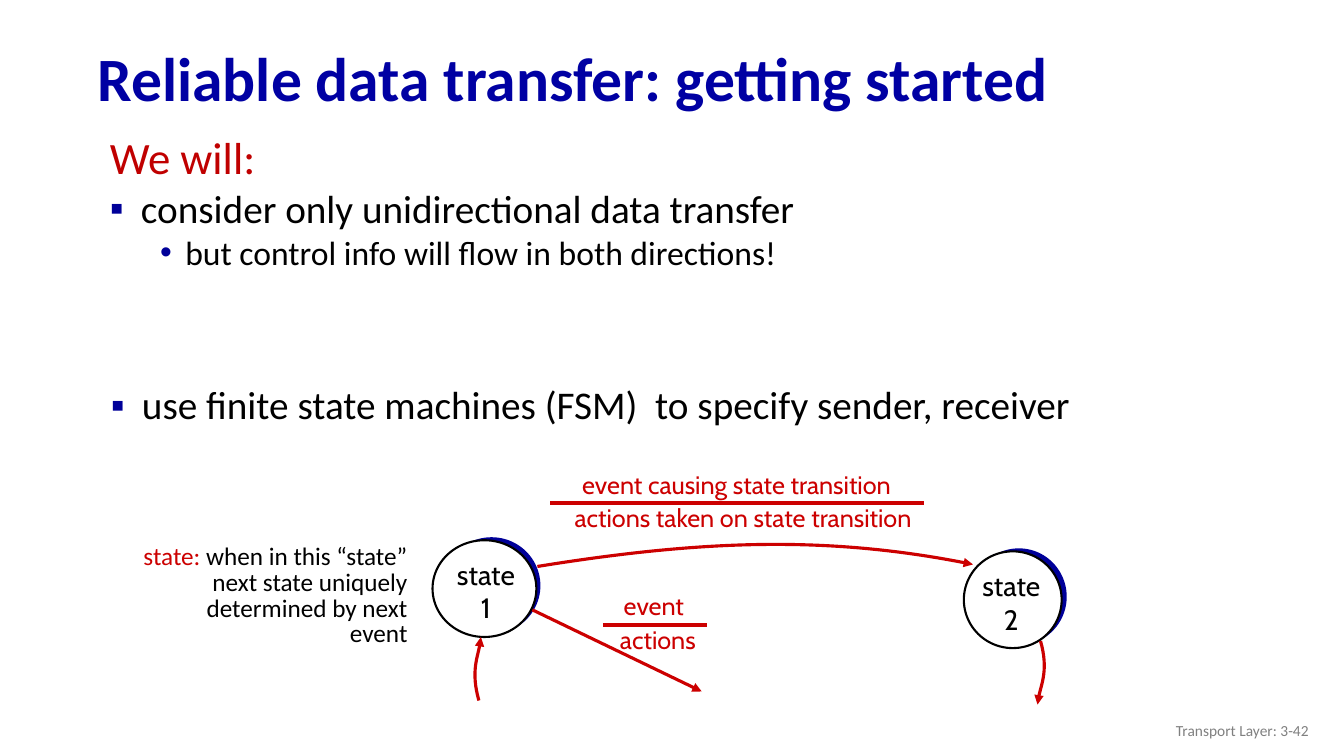
from lxml import etree
from pptx import Presentation
from pptx.dml.color import RGBColor
from pptx.enum.shapes import MSO_CONNECTOR, MSO_SHAPE
from pptx.enum.text import MSO_ANCHOR, PP_ALIGN
from pptx.oxml.ns import qn
from pptx.util import Pt

PX = 9144  # EMU, a hundredth of an inch
LEFT, MID, RIGHT = PP_ALIGN.LEFT, PP_ALIGN.CENTER, PP_ALIGN.RIGHT
TOP, CORE = MSO_ANCHOR.TOP, MSO_ANCHOR.MIDDLE
OVAL, LINE = MSO_SHAPE.OVAL, MSO_CONNECTOR.STRAIGHT
BODY, LABEL = "Calibri", "Cabin"
TIGHT = 0.85
HEX = {
    "title": "0000A3", "lead": "C00000", "navy": "000099", "red": "CC0000",
    "black": "000000", "white": "FFFFFF", "grey": "808080",
}


def color(name):
    return RGBColor.from_string(HEX[name])


def scale(*sizes):
    return [size * PX for size in sizes]


def add_tag(node, tag, **attrs):
    return etree.SubElement(node, qn(tag), **attrs)


def frame(slide, area, anchor=TOP, wrap=True):
    text = slide.shapes.add_textbox(*scale(*area)).text_frame
    for key, value in {"word_wrap": wrap, "vertical_anchor": anchor}.items():
        setattr(text, key, value)
    return text


def write(text, runs, size, font=BODY, bold=False, align=LEFT,
          space=1.0, indent=None, mark=None):
    """Add a paragraph of (words, color) runs; indent is (margin, hang)."""
    first = not text.paragraphs[0].runs
    para = text.paragraphs[0] if first else text.add_paragraph()
    props = para._p.get_or_add_pPr()
    if indent:
        margin, hang = scale(*indent)
        props.set("marL", str(margin))
        props.set("indent", str(-hang))
    if mark:
        tint = add_tag(props, "a:buClr")
        add_tag(tint, "a:srgbClr", val=HEX["navy"])
        add_tag(props, "a:buFont", typeface="Arial")
        add_tag(props, "a:buChar", char=mark)
    gap = Pt(0 if first or space == 1 else size * 0.2)
    layout = {"alignment": align, "line_spacing": space, "space_before": gap}
    for key, value in layout.items():
        setattr(para, key, value)
    for words, tint in runs:
        run = para.add_run()
        run.text = words
        for key, value in {"size": Pt(size), "name": font, "bold": bold}.items():
            setattr(run.font, key, value)
        run.font.color.rgb = color(tint)


def ink(line, tint, width, arrow=False):
    line.color.rgb = color(tint)
    line.width = Pt(width)
    if arrow:
        add_tag(line._get_or_add_ln(), "a:tailEnd", type="triangle")


def oval(slide, area, fill, edge=None):
    shape = slide.shapes.add_shape(OVAL, *scale(*area))
    shape.shadow.inherit = False
    shape.fill.solid()
    shape.fill.fore_color.rgb = color(fill)
    if edge:
        ink(shape.line, edge, 1.5)
    else:
        shape.line.fill.background()


def state(slide, back, face, box, number):
    oval(slide, back, "navy")
    oval(slide, face, "white", "black")
    text = frame(slide, box)
    for words in ("state", number):
        write(text, [(words, "black")], 20, LABEL, align=MID)


def rule(slide, start, end, arrow=False):
    line = slide.shapes.add_connector(LINE, *scale(*start, *end))
    ink(line.line, "red", 2.25, arrow)
    add_tag(line._element.spPr, "a:effectLst")


def curve(slide, start, *points):
    """Draw an arrow along a cubic curve: two control points, then the end."""
    build = slide.shapes.build_freeform(*start, scale=PX)
    build.add_line_segments(points, close=False)
    shape = build.convert_to_shape()
    shape.shadow.inherit = False
    shape.fill.background()
    ink(shape.line, "red", 2.25, True)
    track = shape._element.spPr.find(".//" + qn("a:path"))
    steps = track.findall(qn("a:lnTo"))
    bend = add_tag(track, "a:cubicBezTo")
    for step in steps:
        bend.append(step[0])
        track.remove(step)


def label(slide, area, words):
    write(frame(slide, area, wrap=False), [(words, "red")], 18, LABEL, align=MID)


def main():
    deck = Presentation()
    deck.slide_width, deck.slide_height = scale(1333, 750)
    slide = deck.slides.add_slide(deck.slide_layouts[6])

    write(frame(slide, (87, 32, 1214, 98), CORE),
          [("Reliable data transfer: getting started", "title")],
          44, bold=True, space=0.9)

    body = frame(slide, (99, 132, 1209, 367))
    for words, tint, size, indent, mark in (
        ("We will:", "lead", 32, (31, 31), None),
        ("consider only unidirectional data transfer", "black", 28, (31, 31), "▪"),
        ("but control info will flow in both directions!", "black", 24, (75, 25), "•"),
    ):
        write(body, [(words, tint)], size, space=TIGHT, indent=indent, mark=mark)
    write(frame(slide, (100, 380, 1209, 59)),
          [("use finite state machines (FSM)  to specify sender, receiver", "black")],
          28, space=TIGHT, indent=(31, 31), mark="▪")

    state(slide, (439, 533, 97, 96), (429, 536, 103, 96), (442, 548, 80, 77), "1")
    state(slide, (963, 544, 95, 96), (956, 547, 97, 96), (963, 559, 80, 77), "2")
    write(frame(slide, (111, 536, 303, 135)),
          [("state:", "red"),
           (" when in this “state” next state uniquely determined by next event",
            "black")],
          18, align=RIGHT, space=TIGHT, indent=(38, 38))

    for area, words in (
        ((558, 461, 345, 40), "event causing state transition"),
        ((550, 493, 374, 40), "actions taken on state transition"),
        ((608, 581, 81, 40), "event"),
        ((604, 614, 97, 40), "actions"),
    ):
        label(slide, area, words)
    rule(slide, (546, 499), (916, 499))
    rule(slide, (598, 620), (701, 620))
    rule(slide, (528, 605), (696, 686), arrow=True)
    curve(slide, (533, 562), (694, 536), (823, 531), (965, 560))
    curve(slide, (475, 695), (467, 667), (477, 641), (477, 632))
    curve(slide, (1032, 636), (1040, 664), (1029, 690), (1029, 699))

    write(frame(slide, (1008, 705, 300, 40), CORE),
          [("Transport Layer: 3-42", "grey")], 11, align=RIGHT)
    deck.save("out.pptx")


if __name__ == "__main__":
    main()
